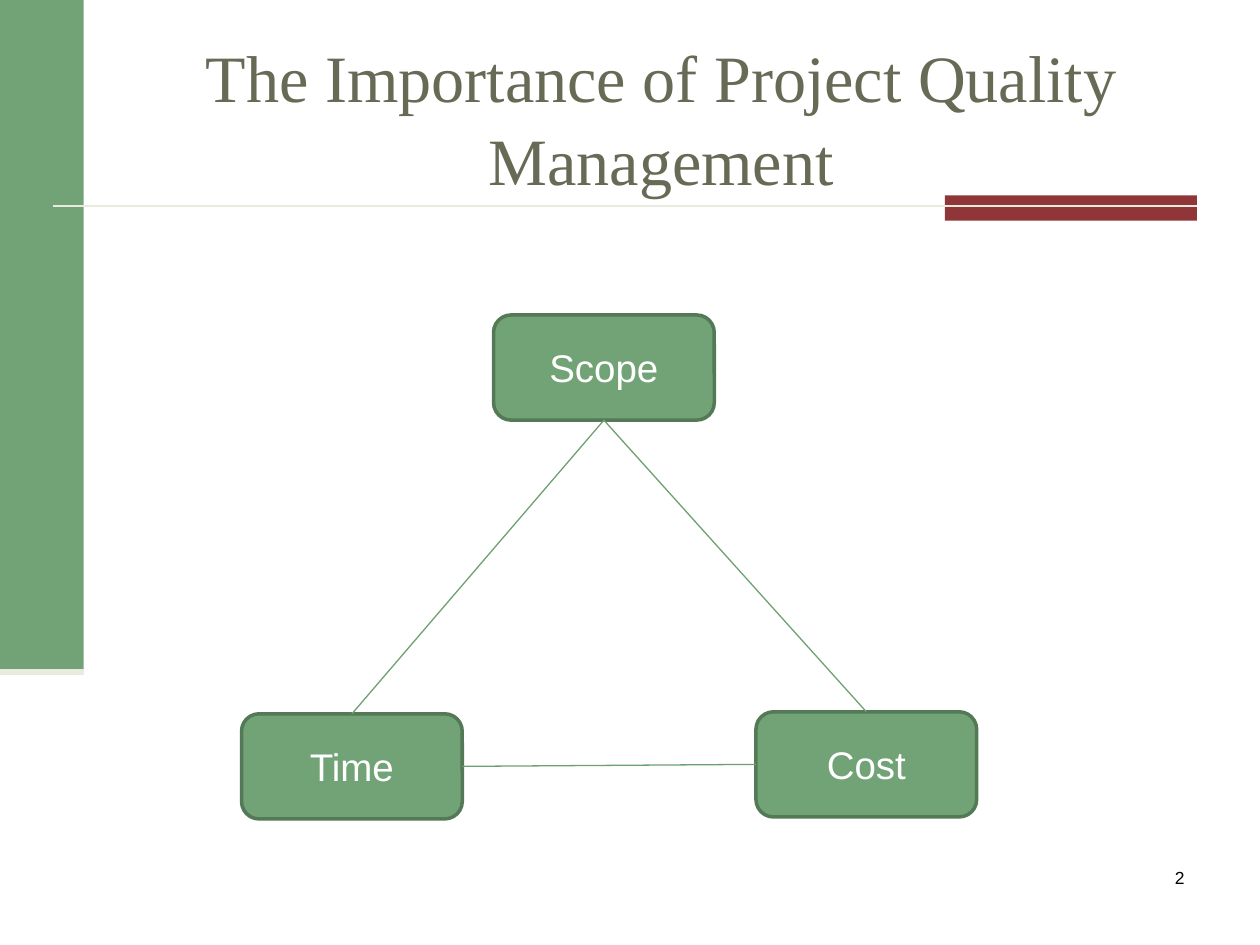
import pptx
import pptx.util
import pptx.dml.color
import pptx.enum.shapes
import pptx.enum.text
import pptx.oxml.ns
import lxml.etree

Cm = pptx.util.Cm
Pt = pptx.util.Pt
SHAPE = pptx.enum.shapes.MSO_SHAPE
ALIGN = pptx.enum.text.PP_ALIGN
ANCHOR = pptx.enum.text.MSO_ANCHOR
BOTTOM, TOP, LEFT, RIGHT = 2, 0, 1, 3

COLORS = {
    "green": "72A376",
    "outline": "547957",
    "link": "6EA172",
    "red": "903638",
    "rule": "EAEBDE",
    "title": "676A55",
    "white": "FFFFFF",
    "black": "000000",
}


def rgb(name):
    return pptx.dml.color.RGBColor.from_string(COLORS[name])


def add_block(s, kind, x, y, w, h, fill, line=None):
    sp = s.shapes.add_shape(kind, Cm(x), Cm(y), Cm(w), Cm(h))
    sp.shadow.inherit = False
    sp.fill.solid()
    sp.fill.fore_color.rgb = rgb(fill)
    if line:
        sp.line.color.rgb = rgb(line)
        sp.line.width = Pt(2)
    else:
        sp.line.fill.background()
    return sp


def add_line(s, x1, y1, x2, y2, color, width):
    cxn = s.shapes.add_connector(
        pptx.enum.shapes.MSO_CONNECTOR.STRAIGHT, Cm(x1), Cm(y1), Cm(x2), Cm(y2))
    cxn.line.color.rgb = rgb(color)
    cxn.line.width = Pt(width)
    lxml.etree.SubElement(cxn._element.spPr, pptx.oxml.ns.qn("a:effectLst"))
    return cxn


def set_text(sp, text, font, size, color, align, anchor):
    tf = sp.text_frame
    tf.text = text
    tf.word_wrap = True
    tf.vertical_anchor = anchor
    p = tf.paragraphs[0]
    p.alignment = align
    r = p.runs[0]
    r.font.name = font
    r.font.size = Pt(size)
    r.font.color.rgb = rgb(color)
    return p


def add_decoration(s, x, y, w, h):
    bar_w, bar_h = 1.69, 13.55
    rule_y = y + 4.15
    rule_right = x + w - 1.27
    accent_w = 5.08
    add_block(s, SHAPE.RECTANGLE, x, y, bar_w, bar_h, "green")
    add_block(s, SHAPE.RECTANGLE, rule_right - accent_w, y + 3.94, accent_w, 0.51, "red")
    add_line(s, x + 1.06, rule_y, rule_right, rule_y, "rule", 1.5)
    add_line(s, x, y + bar_h, x + bar_w, y + bar_h, "rule", 3.5)


def add_title(s, x, y, w, h):
    sp = s.shapes.title
    sp.left, sp.top, sp.width, sp.height = Cm(x), Cm(y), Cm(w), Cm(h)
    p = set_text(sp, "The Importance of Project Quality Management",
                 "Times New Roman", 37.8, "title", ALIGN.CENTER, ANCHOR.MIDDLE)
    p.line_spacing = 1.05
    sp.text_frame.auto_size = pptx.enum.text.MSO_AUTO_SIZE.NONE


def add_page_number(s, x, y, w, h):
    sp = s.shapes.add_textbox(Cm(x), Cm(y), Cm(w), Cm(h))
    set_text(sp, "2", "Arial", 10, "black", ALIGN.RIGHT, ANCHOR.TOP)


def add_triangle(s, x, y, w, h):
    node_w, node_h = 4.45, 2.12
    places = {
        "Scope": (x + 5.08, y),
        "Time": (x, y + h - node_h),
        "Cost": (x + w - node_w, y + h - node_h - 0.04),
    }
    nodes = {}
    for name, (left, top) in places.items():
        sp = add_block(s, SHAPE.ROUNDED_RECTANGLE, left, top, node_w, node_h,
                       "green", "outline")
        set_text(sp, name, "Arial", 22, "white", ALIGN.CENTER, ANCHOR.MIDDLE)
        nodes[name] = sp

    links = [
        ("Scope", BOTTOM, "Time", TOP),
        ("Scope", BOTTOM, "Cost", TOP),
        ("Time", RIGHT, "Cost", LEFT),
    ]
    for start, start_side, end, end_side in links:
        cxn = add_line(s, 0, 0, 0, 0, "link", 0.75)
        cxn.begin_connect(nodes[start], start_side)
        cxn.end_connect(nodes[end], end_side)


def main():
    prs = pptx.Presentation()
    prs.slide_width, prs.slide_height = Cm(25.4), Cm(19.05)
    s = prs.slides.add_slide(prs.slide_layouts[5])
    add_decoration(s, 0, 0, 25.4, 19.05)
    add_title(s, 1.69, 0.85, 23.28, 2.96)
    add_page_number(s, 18.84, 17.36, 5.29, 1.27)
    add_triangle(s, 4.87, 6.35, 14.82, 10.16)
    prs.save("out.pptx")


if __name__ == "__main__":
    main()
